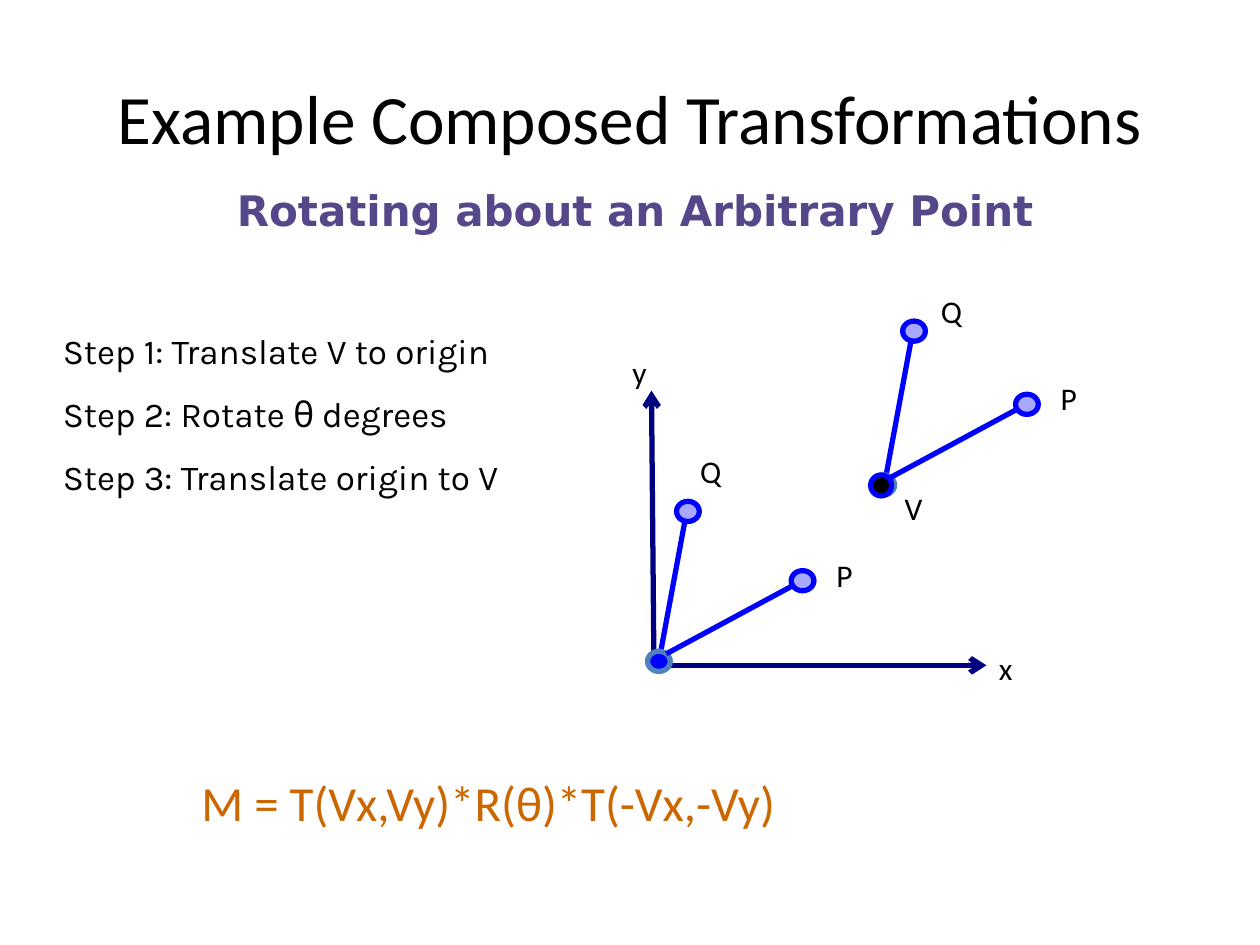
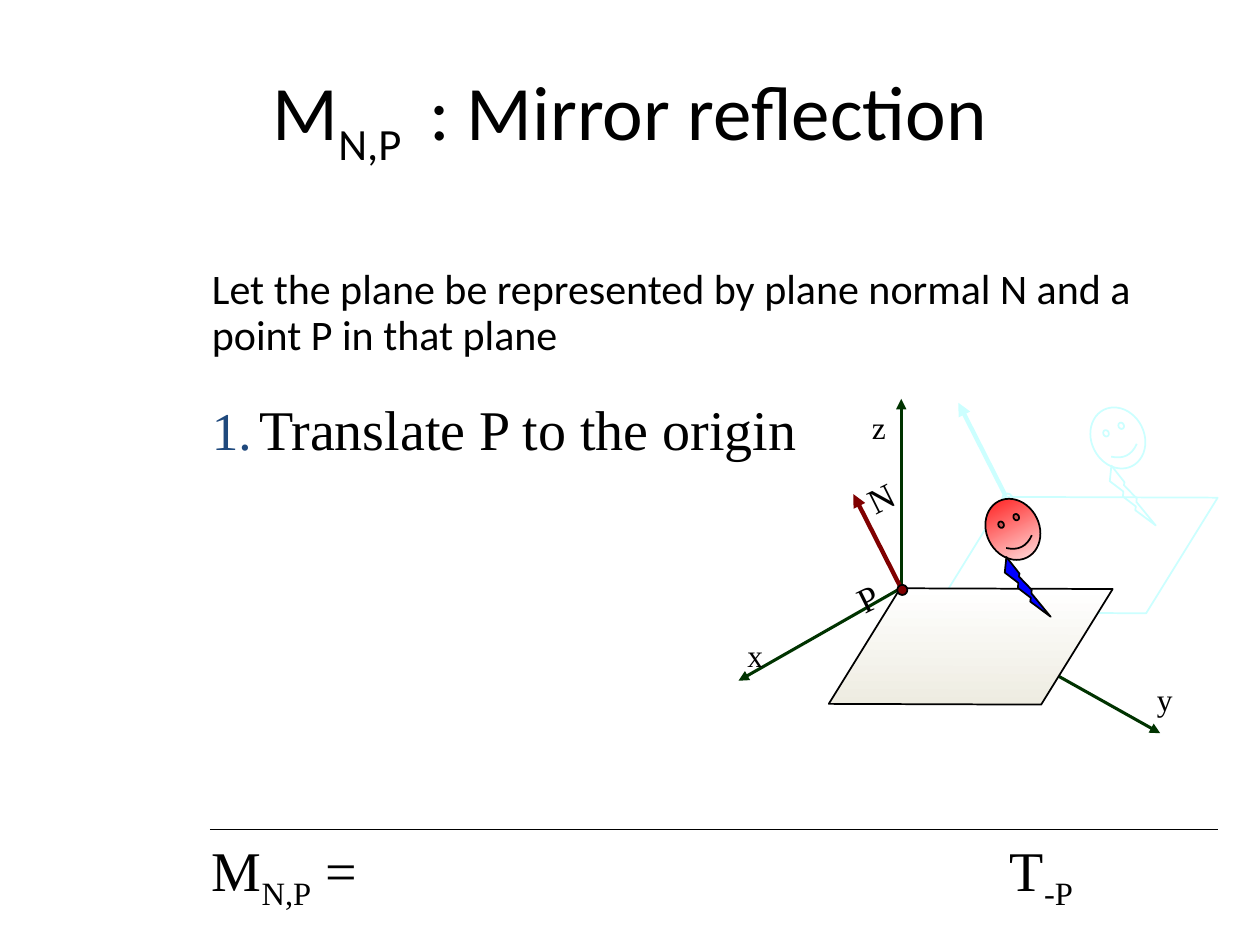
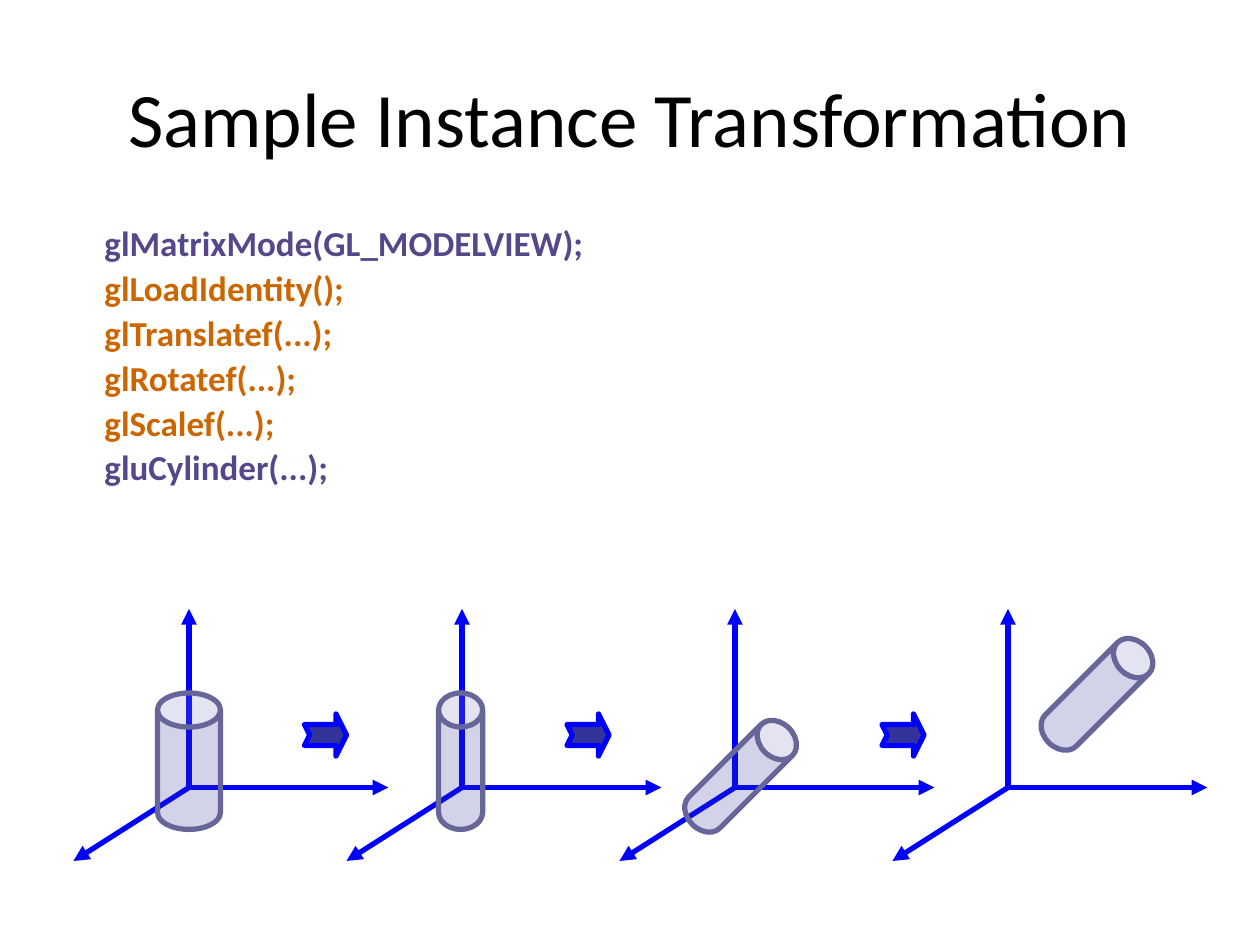
import pptx
import pptx.util
import pptx.dml.color
import pptx.enum.shapes
import pptx.enum.text
import pptx.oxml
import pptx.oxml.ns

Pt = pptx.util.Pt
SHAPE = pptx.enum.shapes.MSO_SHAPE
ALIGN = pptx.enum.text.PP_ALIGN
ANCHOR = pptx.enum.text.MSO_ANCHOR

COLORS = {
    "black": "000000", "white": "FFFFFF", "purple": "554789", "orange": "CC6600",
    "navy": "000080", "blue": "0000FF", "steel": "4F81BD", "ghost": "CCFFFF",
    "number": "1F497D", "green": "003300", "maroon": "800000", "red": "FF0000",
    "cream": "EEECE1", "indigo": "333399", "slate": "666699",
}
BODY, SERIF, STEPS, HEADING = "Calibri", "Times New Roman", "Karla", "DejaVu Sans"
TITLE_BOX = (36, 21.6, 648, 90)
TILT = 333.5


def rgb(name):
    return pptx.dml.color.RGBColor.from_string(COLORS[name])


def sub_element(parent, tag, **attributes):
    element = parent.makeelement(pptx.oxml.ns.qn(tag), attributes)
    parent.append(element)
    return element


# ---- Shared parts ----
def add_text(slide, box, lines, size, font=BODY, colors=("black",), bold=False,
             align=ALIGN.LEFT, wrap=True, before=0, spacing=None, hanging=0,
             anchor=ANCHOR.TOP, rotation=0):
    """Place lines of text; "|" switches between normal and subscript."""
    label = slide.shapes.add_textbox(*map(Pt, box))
    label.rotation = rotation
    frame = label.text_frame
    frame.text = "\n".join(line.replace("|", "") for line in lines)
    frame.word_wrap = wrap
    frame.vertical_anchor = anchor
    if not wrap:
        frame.auto_size = pptx.enum.text.MSO_AUTO_SIZE.SHAPE_TO_FIT_TEXT
    for number, (paragraph, line) in enumerate(zip(frame.paragraphs, lines)):
        paragraph.alignment = align
        paragraph.space_before = Pt(before)
        if spacing:
            paragraph.line_spacing = spacing
        if hanging:
            properties = paragraph._p.get_or_add_pPr()
            properties.set("marL", str(Pt(hanging)))
            properties.set("indent", str(-Pt(hanging)))
        pieces = line.split("|")
        paragraph.runs[0].text = pieces[0]
        for piece in pieces[1:]:
            paragraph.add_run().text = piece
        for position, run in enumerate(paragraph.runs):
            run.font.size, run.font.name, run.font.bold = Pt(size), font, bold
            run.font.color.rgb = rgb(colors[number % len(colors)])
            if position % 2:
                run.font._element.set("baseline", "-25000")
    return label


def add_title(slide, text, size=44):
    add_text(slide, TITLE_BOX, [text], size, align=ALIGN.CENTER, anchor=ANCHOR.MIDDLE)


def add_figure(slide, kind, box, fill, line, width, alpha=None, rotation=0, adjust=()):
    """Fill is a colour, a pair for a downward gradient, or None."""
    figure = slide.shapes.add_shape(kind, *map(Pt, box))
    figure.shadow.inherit = False
    figure.rotation = rotation
    for index, value in enumerate(adjust):
        figure.adjustments[index] = value
    if fill is None:
        figure.fill.background()
    elif isinstance(fill, tuple):
        figure.fill.gradient()
        figure.fill.gradient_angle = 270
        for stop, position, color in zip(figure.fill.gradient_stops, (0, 1), fill):
            stop.position = position
            stop.color.rgb = rgb(color)
    else:
        figure.fill.solid()
        figure.fill.fore_color.rgb = rgb(fill)
        if alpha:
            color = figure._element.spPr.find(".//" + pptx.oxml.ns.qn("a:srgbClr"))
            sub_element(color, "a:alpha", val=str(alpha * 1000))
    figure.line.color.rgb = rgb(line)
    figure.line.width = Pt(width)


def add_line(slide, start, end, color, width, head=None):
    line = slide.shapes.add_connector(
        pptx.enum.shapes.MSO_CONNECTOR.STRAIGHT, *map(Pt, (*start, *end)))
    line.line.color.rgb = rgb(color)
    line.line.width = Pt(width)
    if head:
        sub_element(line.line._get_or_add_ln(), "a:tailEnd", type=head)
    sub_element(line._element.spPr, "a:effectLst")


# ---- Slide 1: rotation about a point ----
def draw_axes(slide, x, y):
    add_line(slide, (x, y), (x + 190, y), "navy", 3, "arrow")
    add_line(slide, (x, y + 1.4), (x - 1.4, y - 157), "navy", 3, "arrow")
    for name, dx, dy in (("x", 190, -13), ("y", -19.4, -182.2)):
        add_text(slide, (x + dx, y + dy, 30, 29), [name], 18)


def draw_angle(slide, x, y, q_shift, q_label):
    """Pivot at x, y with arms to Q and P."""
    dx, dy = q_shift
    arms = (
        ("Q", (7.2 + dx, 2.2 + dy), (21.6 + dx, -75.6 + dy),
         (16.6 + dx, -85.7 + dy), q_label),
        ("P", (10.8, 1.4), (82.8, -37.4), (82.1, -46.1), (100.8, -58.3)),
    )
    for name, start, end, node, label in arms:
        if name == "P":
            add_figure(slide, SHAPE.OVAL, (x, y, 13, 11.5), "blue", "steel", 3)
        add_line(slide, (x + start[0], y + start[1]), (x + end[0], y + end[1]), "blue", 3)
        add_figure(slide, SHAPE.OVAL, (x + node[0], y + node[1], 13, 11.5),
                   "blue", "blue", 3, alpha=34)
        add_text(slide, (x + label[0], y + label[1], 30, 29), [name], 18)


def rotation_slide(slide):
    add_text(slide, (126, 102.2, 474, 36), ["Rotating about an Arbitrary Point"], 24,
             HEADING, ("purple",), bold=True, align=ALIGN.CENTER, before=4.8, hanging=27)
    add_title(slide, "Example Composed Transformations", 39.6)
    draw_axes(slide, 373.7, 380.2)
    draw_angle(slide, 498.2, 271.4, (1, -2.2), (32.4, -108))
    draw_angle(slide, 370, 372.2, (0, 0), (23, -117.4))
    add_figure(slide, SHAPE.OVAL, (497.5, 271.4, 12, 12), "black", "blue", 3)
    add_text(slide, (509.8, 275.8, 26.6, 29), ["V"], 18, wrap=False)
    add_text(slide, (108, 437.8, 480, 41), ["M = T(Vx,Vy)*R(θ)*T(-Vx,-Vy)"], 28,
             colors=("orange",))
    steps = (("Step 1: Translate V to origin", 271.4), ("Step 2: Rotate θ degrees", 242),
             ("Step 3: Translate origin to V", 271.4))
    for index, (step, width) in enumerate(steps):
        add_text(slide, (28.8, 185 + 36 * index, width, 31), [step], 20, STEPS, wrap=False)


# ---- Slide 2: mirror reflection ----
def draw_mirror(slide, x, y, ghost=False):
    """Plane with its point P at x, y, the normal N and a figure on it."""
    def shade(fill):
        return None if ghost else fill

    outline = "ghost" if ghost else "black"
    add_figure(slide, SHAPE.PARALLELOGRAM, (x - 41, y + 0.6, 162, 66.2),
               shade(("white", "cream")), outline, 1, rotation=0.2, adjust=[0.614])
    add_line(slide, (x, y), (x - 27, y - 53.3), "ghost" if ghost else "maroon",
             2.5, "triangle")
    if not ghost:
        for name, dx, dy, width in (("N", -25.9, -67, 28.8), ("P", -31.7, -10, 26)):
            add_text(slide, (x + dx, y + dy, width, 31), [name], 20, SERIF,
                     wrap=False, rotation=TILT)
    figures = (
        (SHAPE.OVAL, (-2, -1.5, 5.8, 5.8), "maroon", ()),
        (SHAPE.SMILEY_FACE, (49, -51.2, 30.2, 36), ("red", "white"), [0.047]),
        (SHAPE.LIGHTNING_BOLT, (64.8, -20.2, 12.2, 41.8), "blue", ()),
    )
    for kind, (dx, dy, width, height), fill, adjust in figures:
        add_figure(slide, kind, (x + dx, y + dy, width, height), shade(fill), outline, 1,
                   rotation=TILT, adjust=adjust)


def draw_space(slide, x, y):
    """Three axes from x, y with their names."""
    axes = (("z", (0, -108), (-23.8, -106.6)), ("x", (-93, 53), (-95, 24)),
            ("y", (148, 83), (139, 49)))
    for name, end, label in axes:
        add_line(slide, (x, y), (x + end[0], y + end[1]), "green", 1.75, "triangle")
        add_text(slide, (x + label[0], y + label[1], 23.8, 29), [name], 18, SERIF,
                 wrap=False)


def mirror_slide(slide):
    draw_mirror(slide, 574.7, 283.5, ghost=True)
    add_text(slide, (114, 150, 588, 66),
             ["Let the plane be represented by plane normal N and a point P in that plane"],
             24, before=4.8, spacing=0.9)
    add_title(slide, "M|N,P | : Mirror reflection")
    step = add_text(slide, (114, 222, 376, 36), ["Translate P to the origin"], 32, SERIF,
                    before=6.4, hanging=27)
    # Numbered bullet
    properties = step.text_frame.paragraphs[0]._p.get_or_add_pPr()
    sub_element(sub_element(properties, "a:buClr"), "a:srgbClr", val=COLORS["number"])
    sub_element(properties, "a:buSzPct", val="95000")
    sub_element(properties, "a:buAutoNum", type="arabicPeriod")
    # Matrix product
    for left, width, factor in ((114, 108, "M|N,P| ="), (570, 60, "T|-P")):
        add_text(slide, (left, 474, width, 36), [factor], 32, SERIF,
                 before=6.4, hanging=27)
    add_line(slide, (120, 474), (696, 474), "black", 1)
    draw_space(slide, 515, 336)
    draw_mirror(slide, 514.7, 335.7)


# ---- Slide 3: instance transformation ----
def draw_stage(slide, x, y, can, adjust, rotation):
    """Axes from x, y and the cylinder in its box relative to them."""
    for dx, dy in ((114, 0), (0, -102), (-66, 42)):
        add_line(slide, (x, y), (x + dx, y + dy), "blue", 3, "triangle")
    dx, dy, width = can
    add_figure(slide, SHAPE.CAN, (x + dx, y + dy, width, 78), "indigo", "slate", 3,
               alpha=22, rotation=rotation, adjust=[adjust])


def instance_slide(slide):
    calls = ["glMatrixMode(GL_MODELVIEW);", "glLoadIdentity();", "glTranslatef(...);",
             "glRotatef(...);", "glScalef(...);", "gluCylinder(...);"]
    add_text(slide, (52.6, 126, 631, 234), calls, 20,
             colors=("purple", *["orange"] * 4, "purple"), bold=True,
             before=4, spacing=0.9, hanging=27)
    add_title(slide, "Sample Instance Transformation")
    stages = (((-18, -54, 36), 0.542, 0), ((-13.4, -54, 25.2), 0.772, 0),
              ((-9.4, -45.4, 25.2), 0.772, 45), ((38.2, -92.2, 25.2), 0.772, 45))
    for index, stage in enumerate(stages):
        draw_stage(slide, 108 + 156 * index, 450, *stage)
    for left in (174, 324, 504):
        add_figure(slide, SHAPE.NOTCHED_RIGHT_ARROW, (left, 408, 24, 24),
                   "indigo", "blue", 3, adjust=[0.5, 0.25])


deck = pptx.Presentation()
deck.slide_width, deck.slide_height = Pt(720), Pt(540)
for build in (rotation_slide, mirror_slide, instance_slide):
    build(deck.slides.add_slide(deck.slide_layouts[6]))
deck.save("out.pptx")
